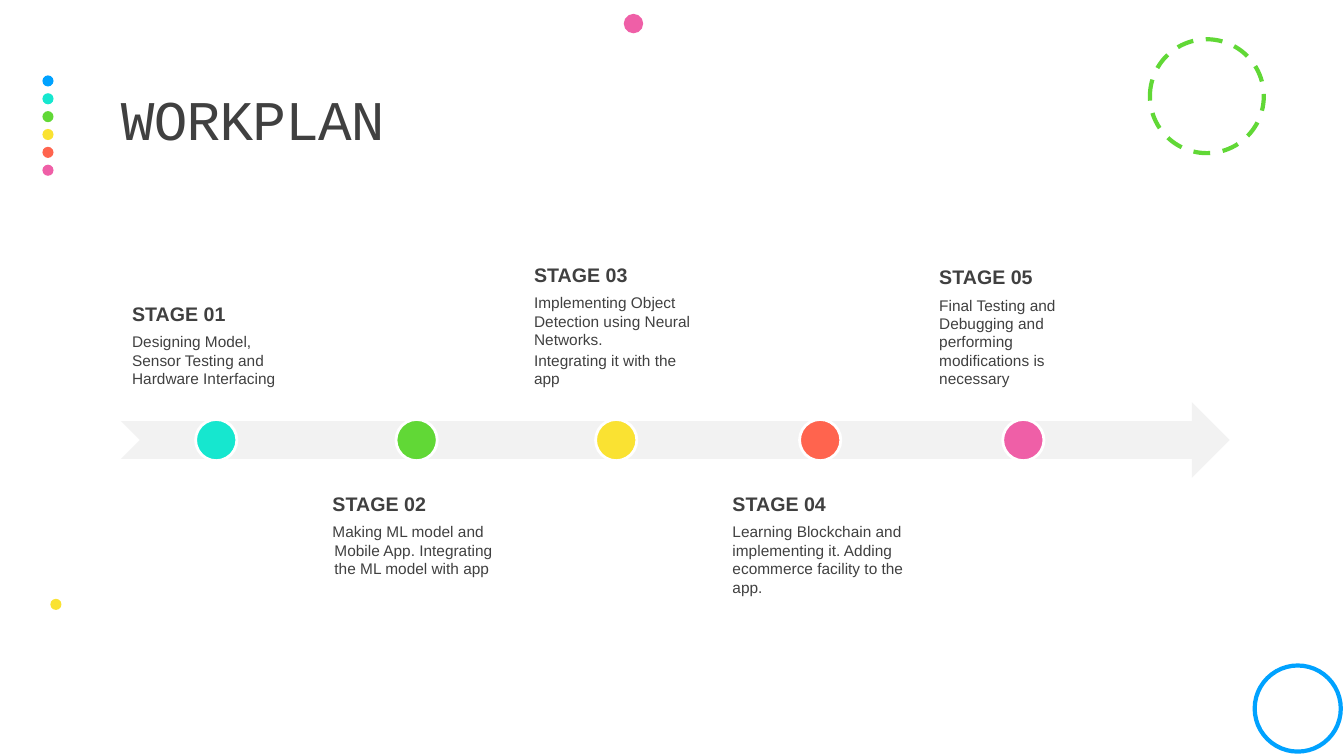
"""Build the workplan slide: five stages along a timeline arrow."""
from dataclasses import dataclass

from pptx import Presentation
from pptx.dml.color import RGBColor
from pptx.enum.dml import MSO_LINE
from pptx.enum.shapes import MSO_SHAPE
from pptx.enum.text import MSO_ANCHOR
from pptx.util import Cm, Pt


@dataclass(frozen=True)
class Theme:
    blue: str = "00A2FF"
    teal: str = "16E7CF"
    green: str = "61D836"
    yellow: str = "FAE232"
    red: str = "FF644E"
    pink: str = "EF5FA7"
    white: str = "FFFFFF"
    arrow: str = "F2F2F2"
    text: str = "404040"
    title_font: str = "Courier New"
    body_font: str = "Arial"
    title_size: int = 40
    heading_size: int = 14
    body_size: int = 11


theme = Theme()
presentation = Presentation()
presentation.slide_width = Cm(33.87)
presentation.slide_height = Cm(19.05)
slide = presentation.slides.add_slide(presentation.slide_layouts[6])


def add_shape(kind, left, top, width, height, fill=None, line=None, line_width=3):
    shape = slide.shapes.add_shape(kind, Cm(left), Cm(top), Cm(width), Cm(height))
    shape.shadow.inherit = False
    for color, target in ((fill, shape.fill), (line, shape.line.fill)):
        if color:
            target.solid()
            target.fore_color.rgb = RGBColor.from_string(color)
        else:
            target.background()
    if line:
        shape.line.width = Pt(line_width)
    return shape


def add_text(left, top, width, height, frame_format, paragraphs):
    frame = slide.shapes.add_textbox(Cm(left), Cm(top), Cm(width), Cm(height)).text_frame
    for name, value in ({"word_wrap": True} | frame_format).items():
        setattr(frame, name, value)
    for index, (text, paragraph_format, font_format) in enumerate(paragraphs):
        paragraph = frame.add_paragraph() if index else frame.paragraphs[0]
        for name, value in paragraph_format.items():
            setattr(paragraph, name, value)
        run = paragraph.add_run()
        run.text = text
        run.font.color.rgb = RGBColor.from_string(theme.text)
        for name, value in font_format.items():
            setattr(run.font, name, value)
    return frame


side_colors = [theme.blue, theme.teal, theme.green, theme.yellow, theme.red, theme.pink]
for index, color in enumerate(side_colors):
    add_shape(MSO_SHAPE.OVAL, 1.07, 1.9 + 0.45 * index, 0.28, 0.28, color)

dashed_ring = add_shape(MSO_SHAPE.OVAL, 28.98, 0.99, 2.87, 2.87, line=theme.green)
dashed_ring.line.dash_style = MSO_LINE.DASH
add_shape(MSO_SHAPE.OVAL, 15.72, 0.35, 0.49, 0.49, theme.pink)
add_shape(MSO_SHAPE.OVAL, 1.27, 15.09, 0.28, 0.28, theme.yellow)
add_shape(MSO_SHAPE.OVAL, 31.62, 16.77, 2.17, 2.17, line=theme.blue)

add_shape(MSO_SHAPE.NOTCHED_RIGHT_ARROW, 3.05, 10.14, 27.94, 1.9, theme.arrow)

stages = [
    (5.45, 4.8, theme.teal, 0, 0,
     ["Designing Model, Sensor Testing and Hardware Interfacing"]),
    (10.5, 4.8, theme.green, 0.05, -0.05,
     ["Making ML model and Mobile App. Integrating the ML model with app"]),
    (15.53, 4.8, theme.yellow, 0.05, 0,
     ["Implementing Object Detection using Neural Networks.",
      "Integrating it with the app"]),
    (20.67, 4.98, theme.red, 0, 0,
     ["Learning Blockchain and implementing it. Adding ecommerce facility to the app."]),
    (25.79, 4.8, theme.pink, 0, 0,
     ["Final Testing and Debugging and performing modifications is necessary"]),
]
dot_size = 1.04
margins = {f"margin_{side}": Cm(0.28) for side in ("left", "top", "right", "bottom")}
heading_font = {"name": theme.body_font, "size": Pt(theme.heading_size), "bold": True}
body_font = {"name": theme.body_font, "size": Pt(theme.body_size), "bold": False}

for number, (center, width, color, margin, indent, lines) in enumerate(stages, start=1):
    above = number % 2 == 1
    anchor = MSO_ANCHOR.BOTTOM if above else MSO_ANCHOR.TOP
    paragraphs = [(f"STAGE {number:02}", {"space_after": Pt(5)}, heading_font)]
    paragraphs += [(line, {"space_after": Pt(1.65)}, body_font) for line in lines]
    frame = add_text(center - width / 2, 5.87 if above else 12.12, width, 4.19,
                     margins | {"vertical_anchor": anchor}, paragraphs)
    for paragraph in frame.paragraphs:
        properties = paragraph._p.get_or_add_pPr()
        properties.set("marL", str(Cm(margin)))
        properties.set("indent", str(Cm(indent)))
    add_shape(MSO_SHAPE.OVAL, center - dot_size / 2, 10.57, dot_size, dot_size,
              color, theme.white, 2)

title_frame = add_text(
    3.05, 1.17, 27.94, 3.81,
    {"margin_left": 0, "margin_right": 0, "vertical_anchor": MSO_ANCHOR.MIDDLE},
    [("WORKPLAN", {"line_spacing": 0.9},
      {"name": theme.title_font, "size": Pt(theme.title_size)})])
title_frame.paragraphs[0].runs[0].font._element.set("spc", "-50")

presentation.save("out.pptx")
